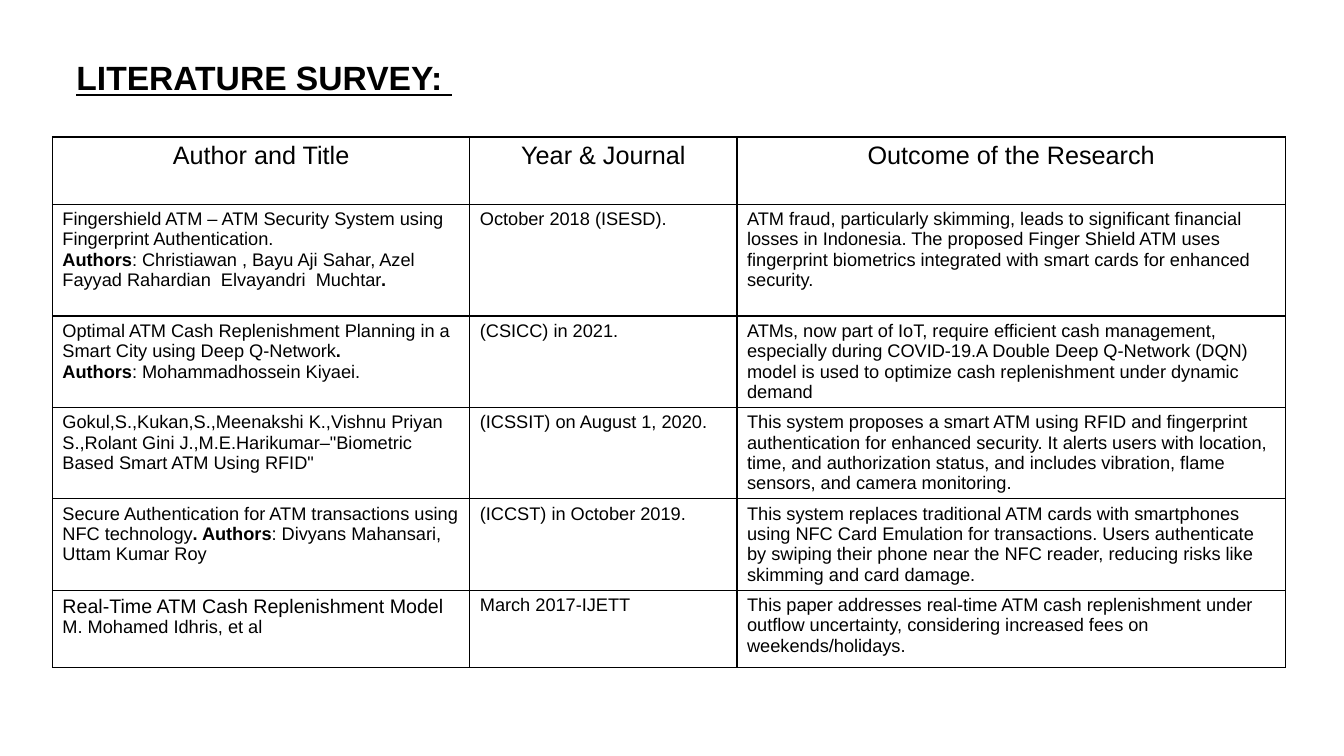
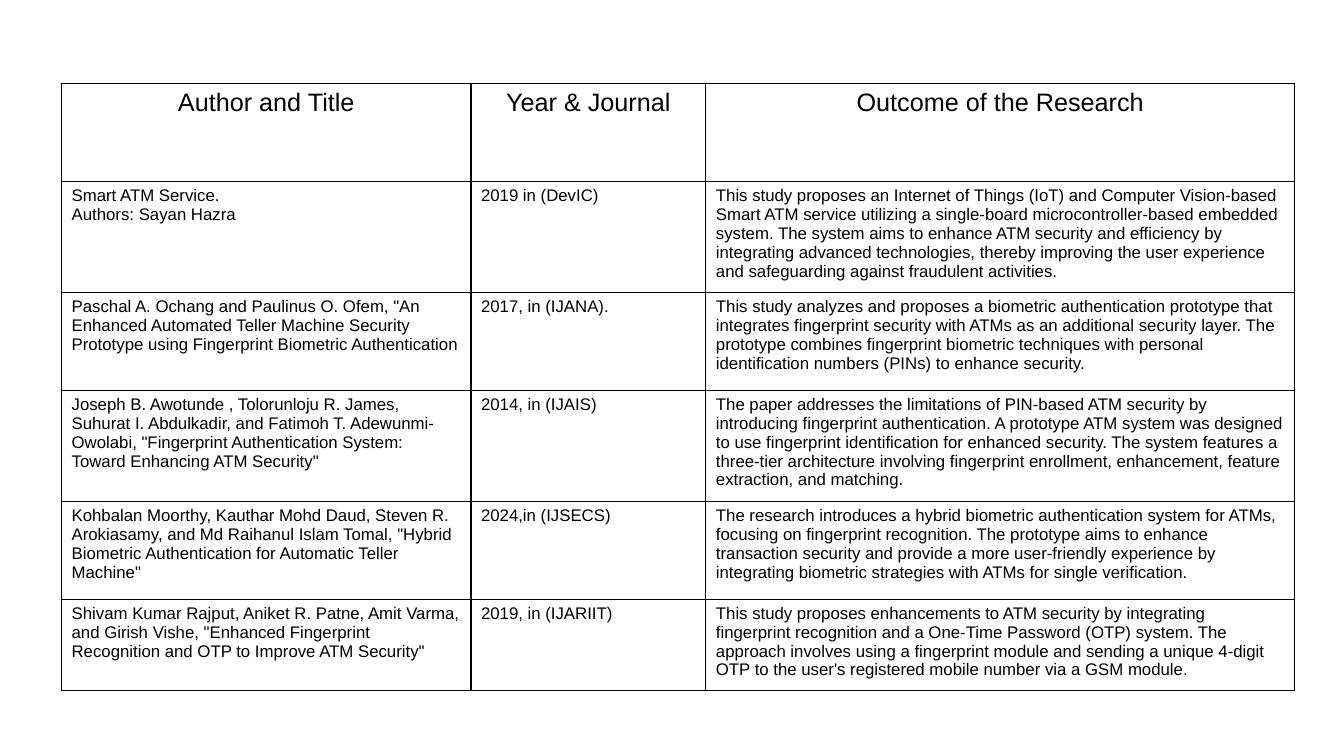
from dataclasses import dataclass
from typing import Optional

from lxml.etree import SubElement
from pptx import Presentation
from pptx.dml.color import RGBColor
from pptx.enum.text import MSO_AUTO_SIZE as AutoSize, PP_ALIGN as Align
from pptx.oxml.ns import qn
from pptx.util import Inches, Pt

# Shared look
BLACK = RGBColor(0x00, 0x00, 0x00)
FONT = "Arial"
TITLE_SIZE = 24
HEADER_SIZE = 18
BORDER_WIDTH = Pt(1)
SLIDE_WIDTH = Inches(13.33)
SLIDE_HEIGHT = Inches(7.5)
HEADERS = ("Author and Title", "Year & Journal", "Outcome of the Research")


@dataclass(frozen=True)
class Paper:
    """One table row; ** switches bold on and off, a line break starts a paragraph."""
    title: str
    journal: str
    outcome: str
    height: float
    lead_size: Optional[float] = None


@dataclass(frozen=True)
class Survey:
    """One survey table; lengths are percentages of the slide's size."""
    left: float
    top: float
    columns: tuple[float, ...]
    header_height: float
    body_size: float
    papers: tuple[Paper, ...]
    title: str = ""


SURVEYS = (
    Survey(
        title="LITERATURE SURVEY: ",
        left=3.9, top=18.13, columns=(31.06, 19.88, 40.81),
        header_height=8.87, body_size=13,
        papers=(
            Paper("Fingershield ATM – ATM Security System using Fingerprint Authentication.\n"
                  "**Authors**: Christiawan , Bayu Aji Sahar, Azel Fayyad Rahardian  "
                  "Elvayandri  Muchtar**.**",
                  "October 2018 (ISESD).",
                  "ATM fraud, particularly skimming, leads to significant financial losses in "
                  "Indonesia. The proposed Finger Shield ATM uses fingerprint biometrics "
                  "integrated with smart cards for enhanced security.", 14.8),
            Paper("Optimal ATM Cash Replenishment Planning in a Smart City using Deep "
                  "Q-Network**.**\n**Authors**: Mohammadhossein Kiyaei.",
                  "(CSICC) in 2021.",
                  "ATMs, now part of IoT, require efficient cash management, especially during "
                  "COVID-19.A Double Deep Q-Network (DQN) model is used to optimize cash "
                  "replenishment under dynamic demand", 12.07),
            Paper("Gokul,S.,Kukan,S.,Meenakshi K.,Vishnu Priyan S.,Rolant Gini "
                  "J.,M.E.Harikumar–\"Biometric Based Smart ATM Using RFID\"",
                  "(ICSSIT) on August 1, 2020.",
                  "This system proposes a smart ATM using RFID and fingerprint authentication "
                  "for enhanced security. It alerts users with location, time, and authorization "
                  "status, and includes vibration, flame sensors, and camera monitoring.", 12.07),
            Paper("Secure Authentication for ATM transactions using NFC technology**. Authors**: "
                  "Divyans Mahansari, Uttam Kumar Roy",
                  "(ICCST) in October 2019.",
                  "This system replaces traditional ATM cards with smartphones using NFC Card "
                  "Emulation for transactions. Users authenticate by swiping their phone near "
                  "the NFC reader, reducing risks like skimming and card damage.", 12.07),
            Paper("Real-Time ATM Cash Replenishment Model\nM. Mohamed Idhris, et al",
                  "March 2017-IJETT",
                  "This paper addresses real-time ATM cash replenishment under outflow "
                  "uncertainty, considering increased fees on weekends/holidays.", 10.2,
                  lead_size=14),
        ),
    ),
    Survey(
        left=4.58, top=11.07, columns=(30.46, 17.48, 43.81),
        header_height=12.93, body_size=12,
        papers=(
            Paper("Smart ATM Service.\nAuthors: Sayan Hazra",
                  "2019 in (DevIC)",
                  "This study proposes an Internet of Things (IoT) and Computer Vision-based "
                  "Smart ATM service utilizing a single-board microcontroller-based embedded "
                  "system. The system aims to enhance ATM security and efficiency by integrating "
                  "advanced technologies, thereby improving the user experience and safeguarding "
                  "against fraudulent activities.", 14.7),
            Paper("Paschal A. Ochang and Paulinus O. Ofem, \"An Enhanced Automated Teller "
                  "Machine Security Prototype using Fingerprint Biometric Authentication",
                  "2017, in (IJANA).",
                  "This study analyzes and proposes a biometric authentication prototype that "
                  "integrates fingerprint security with ATMs as an additional security layer. "
                  "The prototype combines fingerprint biometric techniques with personal "
                  "identification numbers (PINs) to enhance security.", 12.93),
            Paper("Joseph B. Awotunde , Tolorunloju R. James, Suhurat I. Abdulkadir, and "
                  "Fatimoh T. Adewunmi-Owolabi, \"Fingerprint Authentication System: Toward "
                  "Enhancing ATM Security\"",
                  "2014, in (IJAIS)",
                  "The paper addresses the limitations of PIN-based ATM security by introducing "
                  "fingerprint authentication. A prototype ATM system was designed to use "
                  "fingerprint identification for enhanced security. The system features a "
                  "three-tier architecture involving fingerprint enrollment, enhancement, "
                  "feature extraction, and matching.", 14.7),
            Paper("Kohbalan Moorthy, Kauthar Mohd Daud, Steven R. Arokiasamy, and Md Raihanul "
                  "Islam Tomal, \"Hybrid Biometric Authentication for Automatic Teller Machine\"",
                  "2024,in (IJSECS)",
                  "The research introduces a hybrid biometric authentication system for ATMs, "
                  "focusing on fingerprint recognition. The prototype aims to enhance "
                  "transaction security and provide a more user-friendly experience by "
                  "integrating biometric strategies with ATMs for single verification.", 12.93),
            Paper("Shivam Kumar Rajput, Aniket R. Patne, Amit Varma, and Girish Vishe, "
                  "\"Enhanced Fingerprint Recognition and OTP to Improve ATM Security\"",
                  "2019, in (IJARIIT)",
                  "This study proposes enhancements to ATM security by integrating fingerprint "
                  "recognition and a One-Time Password (OTP) system. The approach involves using "
                  "a fingerprint module and sending a unique 4-digit OTP to the user's "
                  "registered mobile number via a GSM module.", 12.07),
        ),
    ),
)


def across(percent: float) -> int:
    return round(SLIDE_WIDTH * percent / 100)


def down(percent: float) -> int:
    return round(SLIDE_HEIGHT * percent / 100)


def write_text(frame, text: str, *, size: float, lead_size: Optional[float] = None,
               bold: bool = False, underline: bool = False, align: Align = Align.LEFT) -> None:
    """Fill a text frame; lead_size is the size of the first paragraph."""
    for index, line in enumerate(text.split("\n")):
        paragraph = frame.add_paragraph() if index else frame.paragraphs[0]
        paragraph.alignment = align
        for part, words in enumerate(line.split("**")):
            if not words:
                continue
            run = paragraph.add_run()
            run.text = words
            font = run.font
            font.name = FONT
            font.size = Pt(lead_size if lead_size and index == 0 else size)
            font.bold = bold or part % 2 == 1
            font.underline = underline
            font.color.rgb = BLACK


def style_cell(cell) -> None:
    """Give a cell black borders and no fill."""
    properties = cell._tc.get_or_add_tcPr()
    for side in ("a:lnL", "a:lnR", "a:lnT", "a:lnB"):
        line = SubElement(properties, qn(side), w=str(BORDER_WIDTH))
        fill = SubElement(line, qn("a:solidFill"))
        SubElement(fill, qn("a:srgbClr"), val=str(BLACK))
    cell.fill.background()


def add_title(slide, text: str) -> None:
    box = slide.shapes.add_textbox(across(4.95), down(6.93), across(48.7), down(6.67))
    frame = box.text_frame
    frame.word_wrap = True
    frame.auto_size = AutoSize.SHAPE_TO_FIT_TEXT
    write_text(frame, text, size=TITLE_SIZE, bold=True, underline=True)


def add_survey_table(slide, survey: Survey) -> None:
    heights = [survey.header_height, *(paper.height for paper in survey.papers)]
    table = slide.shapes.add_table(
        len(heights), len(HEADERS), across(survey.left), down(survey.top),
        across(sum(survey.columns)), down(sum(heights))).table
    table.first_row = table.horz_banding = False
    for column, width in zip(table.columns, survey.columns):
        column.width = across(width)
    for row, height in zip(table.rows, heights):
        row.height = down(height)
    for cell in table.iter_cells():
        style_cell(cell)

    # Header row
    for index, header in enumerate(HEADERS):
        write_text(table.cell(0, index).text_frame, header,
                   size=HEADER_SIZE, align=Align.CENTER)
    # Paper rows
    for row_index, paper in enumerate(survey.papers, start=1):
        texts = (paper.title, paper.journal, paper.outcome)
        for index, text in enumerate(texts):
            write_text(table.cell(row_index, index).text_frame, text, size=survey.body_size,
                       lead_size=None if index else paper.lead_size)


def main() -> None:
    presentation = Presentation()
    presentation.slide_width = SLIDE_WIDTH
    presentation.slide_height = SLIDE_HEIGHT
    blank_layout = presentation.slide_layouts[6]
    for survey in SURVEYS:
        slide = presentation.slides.add_slide(blank_layout)
        add_survey_table(slide, survey)
        if survey.title:
            add_title(slide, survey.title)
    presentation.save("out.pptx")


if __name__ == "__main__":
    main()
